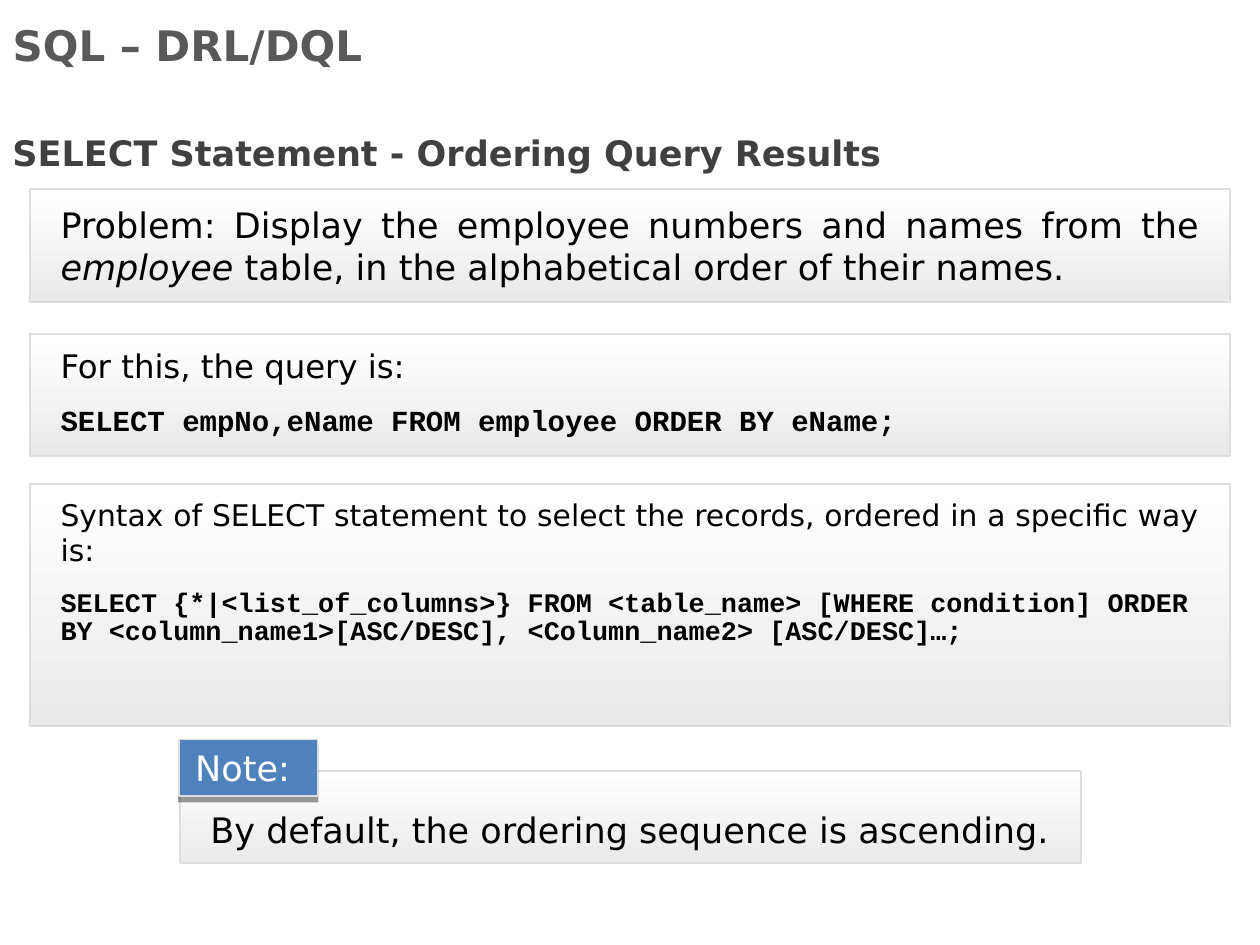
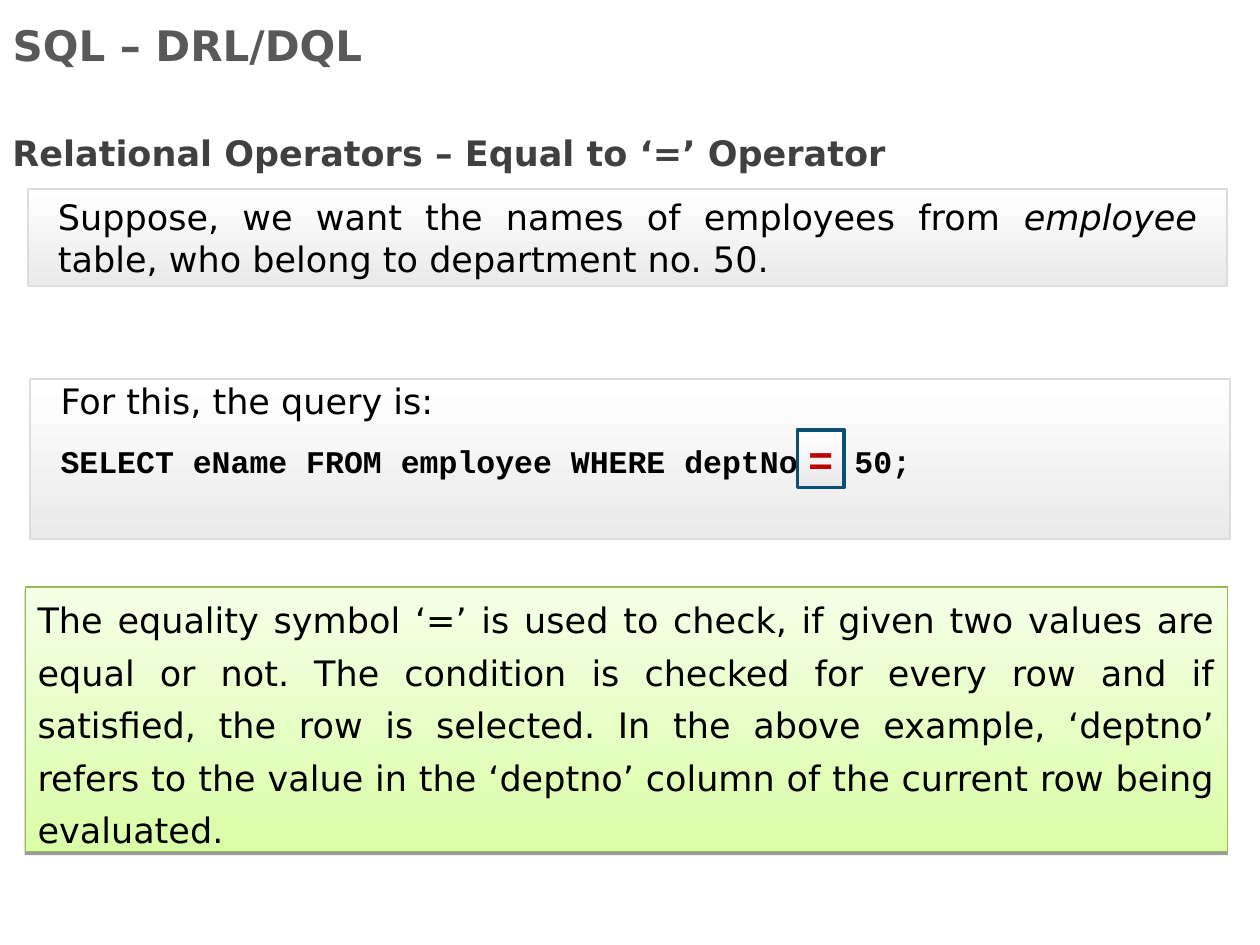
from lxml import etree
from pptx import Presentation
from pptx.dml.color import RGBColor
from pptx.enum.shapes import MSO_SHAPE
from pptx.enum.text import MSO_ANCHOR as ANCHOR, MSO_AUTO_SIZE as AUTO, PP_ALIGN as ALIGN
from pptx.oxml.ns import qn
from pptx.util import Inches, Pt

# Colours and fonts
WHITE = RGBColor(0xFF, 0xFF, 0xFF)
BLACK = RGBColor(0, 0, 0)
TITLE_GREY = RGBColor(0x59, 0x59, 0x59)
HEADING_GREY = RGBColor(0x40, 0x40, 0x40)
PANEL_GREY = RGBColor(0xEA, 0xEA, 0xEA)
BORDER_GREY = RGBColor(0xDD, 0xDD, 0xDD)
NOTE_BLUE = RGBColor(0x4F, 0x81, 0xBD)
LIGHT_GREEN = RGBColor(0xF5, 0xFF, 0xE6)
GREEN = RGBColor(0xDA, 0xFD, 0xA7)
BORDER_GREEN = RGBColor(0x98, 0xB9, 0x54)
FRAME_BLUE = RGBColor(0x0B, 0x4E, 0x78)
RED = RGBColor(0xC0, 0, 0)
BODY = "DejaVu Sans"
CODE = "Courier New"


def write(tf, text, size=20, font=BODY, color=BLACK, bold=False, italic=None,
          align=ALIGN.LEFT, line=None, before=0, after=0):
    """Add a paragraph; the last occurrence of the italic word is slanted."""
    p = tf.add_paragraph() if tf.text else tf.paragraphs[0]
    p.alignment, p.line_spacing = align, line
    p.space_before, p.space_after = Pt(before), Pt(after)
    for part in text.rpartition(italic) if italic else [text]:
        r = p.add_run()
        r.text = part
        r.font.size, r.font.name = Pt(size), font
        r.font.bold, r.font.italic = bold, part == italic
        r.font.color.rgb = color


def panel(shapes, left, top, width, height, fill=(WHITE, PANEL_GREY), border=BORDER_GREY,
          weight=1, anchor=ANCHOR.MIDDLE, inset=(0.24, 0.1), shadow=None):
    """Draw a filled rectangle and return its text frame; shadow is (distance, opacity)."""
    sp = shapes.add_shape(MSO_SHAPE.RECTANGLE, Inches(left), Inches(top),
                          Inches(width), Inches(height))
    if len(fill) == 2:
        sp.fill.gradient()
        sp.fill.gradient_angle = 270
        for stop, color in zip(sp.fill.gradient_stops, fill):
            stop.color.rgb = color
    else:
        sp.fill.solid()
        sp.fill.fore_color.rgb = fill[0]
    sp.line.color.rgb = border
    sp.line.width = Pt(weight)
    sp.shadow.inherit = False
    if shadow:
        distance, opacity = shadow
        effects = sp._element.spPr.find(qn("a:effectLst"))
        outer = etree.SubElement(effects, qn("a:outerShdw"), blurRad="0",
                                 dist=str(Pt(distance)), dir="5400000", rotWithShape="0")
        color = etree.SubElement(outer, qn("a:srgbClr"), val="000000")
        etree.SubElement(color, qn("a:alpha"), val=str(opacity * 1000))
    tf = sp.text_frame
    tf.word_wrap = True
    tf.vertical_anchor = anchor
    tf.margin_left = tf.margin_right = Inches(inset[0])
    tf.margin_top = tf.margin_bottom = Inches(inset[1])
    return tf


prs = Presentation()
prs.slide_width, prs.slide_height = Inches(10), Inches(7.5)

# Title and heading of each slide
slides = []
for heading in ("SELECT Statement - Ordering Query Results",
                "Relational Operators – Equal to ‘=’ Operator"):
    s = prs.slides.add_slide(prs.slide_layouts[5])
    title = s.shapes.title
    title.left, title.top = Inches(0), Inches(0.14)
    title.width, title.height = Inches(9), Inches(0.43)
    tf = title.text_frame
    tf.auto_size = AUTO.NONE
    tf.vertical_anchor = ANCHOR.MIDDLE
    write(tf, "SQL – DRL/DQL", size=24, color=TITLE_GREY, bold=True)

    tf = s.shapes.add_textbox(0, Inches(0.83), Inches(7.88), Inches(0.6)).text_frame
    tf.word_wrap = True
    tf.auto_size = AUTO.SHAPE_TO_FIT_TEXT
    write(tf, heading, color=HEADING_GREY, bold=True, line=1.5)
    slides.append(s)
ordering, equality = slides

# Slide 1: problem, query and syntax
tf = panel(ordering.shapes, 0.24, 1.5, 9.52, 0.9)
write(tf, "Problem: Display the employee numbers and names from the employee table, "
      "in the alphabetical order of their names.",
      italic="employee", align=ALIGN.JUSTIFY, after=6)

tf = panel(ordering.shapes, 0.24, 2.65, 9.52, 0.97, anchor=ANCHOR.TOP)
write(tf, "For this, the query is:", size=18.5, after=6)
write(tf, "SELECT empNo,eName FROM employee ORDER BY eName;",
      size=16.6, font=CODE, bold=True, line=0.9, before=6, after=6)

tf = panel(ordering.shapes, 0.24, 3.84, 9.52, 1.92, anchor=ANCHOR.TOP)
write(tf, "Syntax of SELECT statement to select the records, ordered in a specific way is:",
      size=17, align=ALIGN.JUSTIFY, after=12)
write(tf, "SELECT {*|<list_of_columns>} FROM <table_name> [WHERE condition] ORDER BY "
      "<column_name1>[ASC/DESC], <Column_name2> [ASC/DESC]…;",
      size=15.3, font=CODE, bold=True, line=0.9, after=12)

# Slide 1: note with its label
note = ordering.shapes.add_group_shape()
tf = panel(note.shapes, 1.43, 6.12, 7.15, 0.73, anchor=ANCHOR.BOTTOM)
write(tf, "By default, the ordering sequence is ascending.", align=ALIGN.JUSTIFY, after=6)
tf = panel(note.shapes, 1.42, 5.87, 1.1, 0.45, fill=(NOTE_BLUE,), inset=(0, 0), shadow=(3, 40))
write(tf, "Note: ", color=WHITE, align=ALIGN.CENTER)

# Slide 2: problem and query
tf = panel(equality.shapes, 0.22, 1.5, 9.52, 0.77, inset=(0.24, 0))
write(tf, "Suppose, we want the names of employees from employee table, "
      "who belong to department no. 50.",
      italic="employee", align=ALIGN.JUSTIFY, after=6)

tf = panel(equality.shapes, 0.24, 3.01, 9.52, 1.27, anchor=ANCHOR.TOP, inset=(0.24, 0))
write(tf, "For this, the query is:", align=ALIGN.JUSTIFY, after=6)
write(tf, "SELECT eName FROM employee WHERE deptNo = 50;",
      size=18, font=CODE, bold=True, before=6, after=6)

# Slide 2: explanation and framed operator
tf = panel(equality.shapes, 0.2, 4.66, 9.54, 2.1, fill=(LIGHT_GREEN, GREEN),
           border=BORDER_GREEN, weight=0.75, inset=(0.1, 0), shadow=(1.6, 38))
write(tf, "The equality symbol ‘=’ is used to check, if given two values are equal or not. "
      "The condition is checked for every row and if satisfied, the row is selected. "
      "In the above example, ‘deptno’ refers to the value in the ‘deptno’ column of "
      "the current row being evaluated.",
      align=ALIGN.JUSTIFY, line=Pt(30), after=6)

tf = panel(equality.shapes, 6.33, 3.41, 0.37, 0.46, border=FRAME_BLUE, weight=2.25, inset=(0, 0))
write(tf, "=", size=24, font=CODE, color=RED, bold=True, align=ALIGN.CENTER, after=6)

prs.save("out.pptx")
